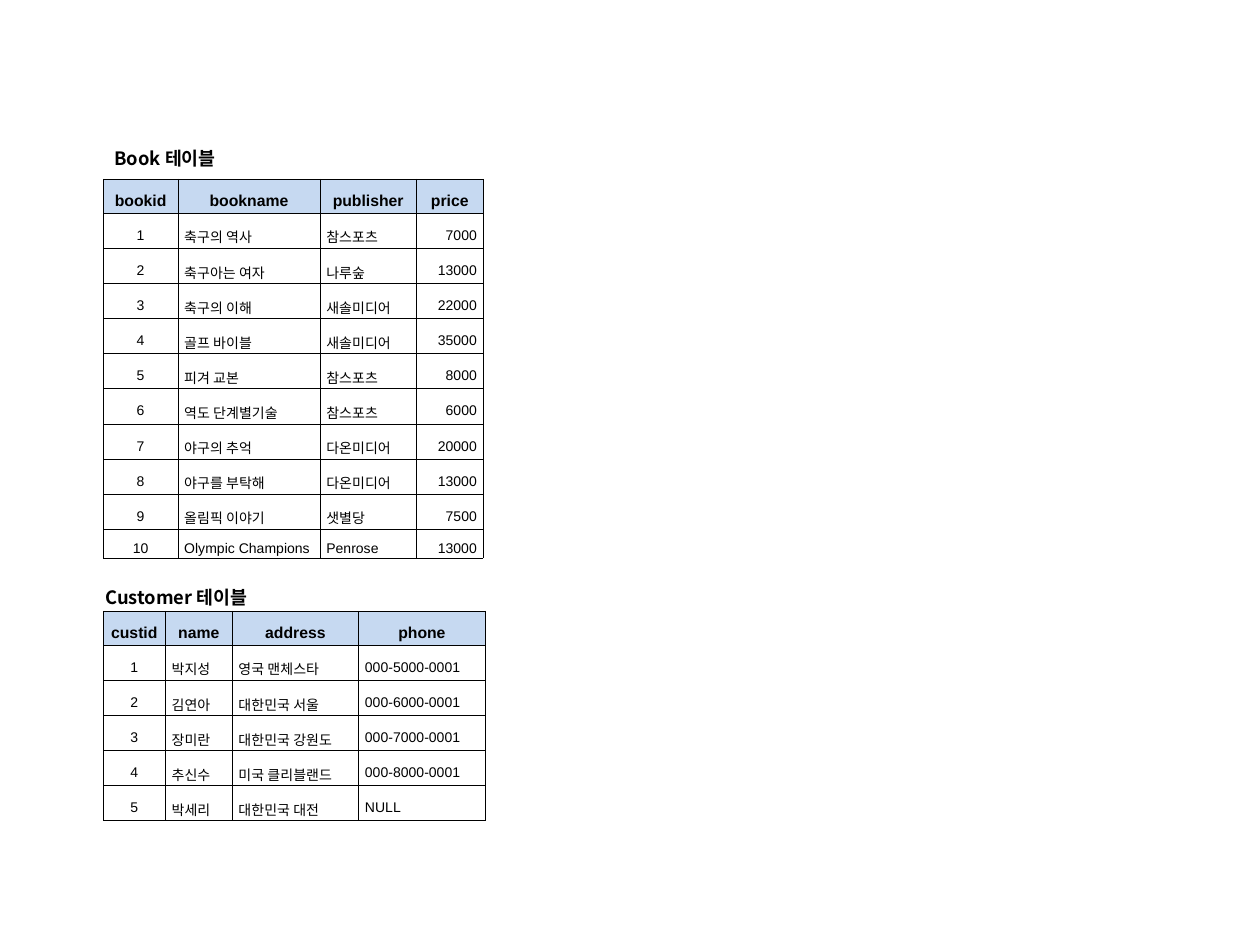
"""Build a slide with the Book and Customer sample tables."""
from lxml import etree
from pptx import Presentation
from pptx.dml.color import RGBColor
from pptx.enum.text import MSO_ANCHOR, PP_ALIGN
from pptx.oxml.ns import qn
from pptx.util import Pt

LEFT, CENTER, RIGHT = PP_ALIGN.LEFT, PP_ALIGN.CENTER, PP_ALIGN.RIGHT
MIDDLE = MSO_ANCHOR.MIDDLE
KOREAN_FONT = "Noto Sans CJK KR"
BLACK, HEADER_FILL = "000000", "C6D9F1"
TABLE_LEFT, HEADER_HEIGHT, ROW_HEIGHT = 59, 19.4, 16.56
BORDER_WIDTH = 0.28

TABLES = [
    {
        "title": "Book 테이블", "title_at": (60.5, 82), "top": 102.4,
        "widths": [42.7, 81.2, 55.1, 38.2],
        "alignments": [CENTER, LEFT, LEFT, RIGHT],
        "rows": [
            ("bookid", "bookname", "publisher", "price"),
            ("1", "축구의 역사", "참스포츠", "7000"),
            ("2", "축구아는 여자", "나루숲", "13000"),
            ("3", "축구의 이해", "새솔미디어", "22000"),
            ("4", "골프 바이블", "새솔미디어", "35000"),
            ("5", "피겨 교본", "참스포츠", "8000"),
            ("6", "역도 단계별기술", "참스포츠", "6000"),
            ("7", "야구의 추억", "다온미디어", "20000"),
            ("8", "야구를 부탁해", "다온미디어", "13000"),
            ("9", "올림픽 이야기", "샛별당", "7500"),
            ("10", "Olympic Champions", "Penrose", "13000"),
        ],
    },
    {
        "title": "Customer 테이블", "title_at": (55.4, 332.6), "top": 349.2,
        "widths": [35.5, 38.2, 72.3, 72.3],
        "alignments": [CENTER, LEFT, LEFT, LEFT],
        "rows": [
            ("custid", "name", "address", "phone"),
            ("1", "박지성", "영국 맨체스타", "000-5000-0001"),
            ("2", "김연아", "대한민국 서울", "000-6000-0001"),
            ("3", "장미란", "대한민국 강원도", "000-7000-0001"),
            ("4", "추신수", "미국 클리블랜드", "000-8000-0001"),
            ("5", "박세리", "대한민국 대전", "NULL"),
        ],
    },
]


def color(hex_value):
    return RGBColor.from_string(hex_value)


def write(paragraph, text, font_name, size, bold, alignment=LEFT):
    paragraph.text = text
    paragraph.alignment = alignment
    font = paragraph.font
    font.name, font.size, font.bold = font_name, Pt(size), bold
    font.color.rgb = color(BLACK)
    properties = paragraph._p.pPr.find(qn("a:defRPr"))
    etree.SubElement(properties, qn("a:ea"), typeface=KOREAN_FONT)


def set_margins(target, horizontal, vertical):
    target.margin_left = target.margin_right = Pt(horizontal)
    target.margin_top = target.margin_bottom = Pt(vertical)


def add_borders(cell):
    properties = cell._tc.get_or_add_tcPr()
    for side in ("lnL", "lnR", "lnT", "lnB"):
        line = etree.SubElement(properties, qn(f"a:{side}"), w=str(Pt(BORDER_WIDTH)))
        fill = etree.SubElement(line, qn("a:solidFill"))
        etree.SubElement(fill, qn("a:srgbClr"), val=BLACK)


def format_cell(cell, text, is_header, alignment):
    cell.vertical_anchor = MIDDLE
    set_margins(cell, 3.6, 0.72)
    add_borders(cell)
    if is_header:
        cell.fill.solid()
        cell.fill.fore_color.rgb = color(HEADER_FILL)
    else:
        cell.fill.background()
    paragraph = cell.text_frame.paragraphs[0]
    write(paragraph, text, "Arial", 9 if is_header else 8, is_header,
          CENTER if is_header else alignment)
    paragraph.line_spacing = 1.6


def add_data_table(slide, data):
    rows, widths = data["rows"], data["widths"]
    heights = [HEADER_HEIGHT] + [ROW_HEIGHT] * (len(rows) - 1)
    table = slide.shapes.add_table(
        len(rows), len(widths), Pt(TABLE_LEFT), Pt(data["top"]),
        Pt(sum(widths)), Pt(sum(heights))).table
    for column, width in zip(table.columns, widths):
        column.width = Pt(width)
    for row_index, (row, height) in enumerate(zip(rows, heights)):
        table.rows[row_index].height = Pt(height)
        for column_index, text in enumerate(row):
            format_cell(table.cell(row_index, column_index), text,
                        row_index == 0, data["alignments"][column_index])


def add_table_title(slide, data):
    left, top = data["title_at"]
    frame = slide.shapes.add_textbox(Pt(left), Pt(top), Pt(111), Pt(17.3)).text_frame
    frame.word_wrap = True
    frame.vertical_anchor = MIDDLE
    set_margins(frame, 5, 2.9)
    write(frame.paragraphs[0], data["title"], KOREAN_FONT, 10.5, True)


presentation = Presentation()
presentation.slide_width, presentation.slide_height = Pt(720), Pt(540)
slide = presentation.slides.add_slide(presentation.slide_layouts[6])
for add_part in (add_data_table, add_table_title):
    for data in TABLES:
        add_part(slide, data)
presentation.save("out.pptx")
